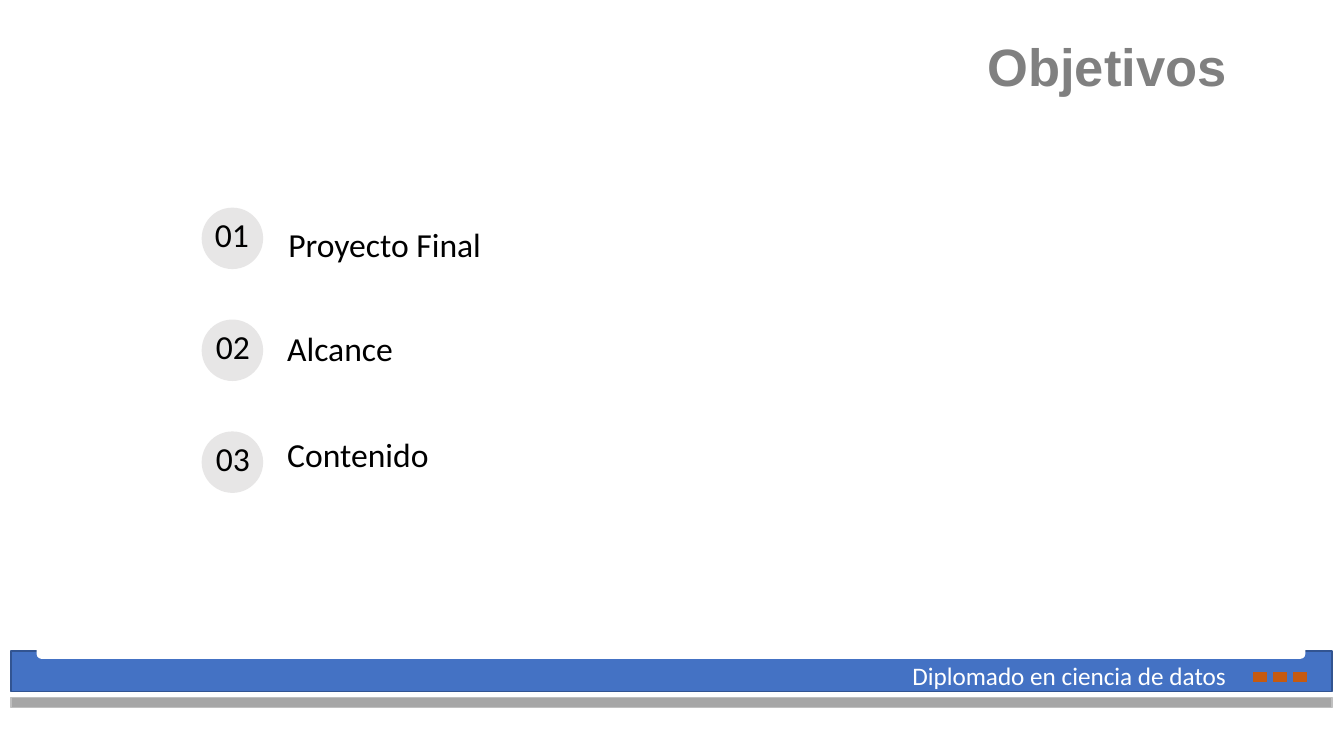
from dataclasses import dataclass, field

from pptx import Presentation
from pptx.dml.color import RGBColor
from pptx.enum.shapes import MSO_SHAPE as SHAPE
from pptx.enum.text import MSO_ANCHOR as ANCHOR, MSO_AUTO_SIZE as AUTOSIZE, PP_ALIGN as ALIGN
from pptx.util import Inches, Pt


@dataclass
class Box:
    left: float
    top: float
    width: float
    height: float

    def emu(self) -> list:
        return [Inches(v) for v in (self.left, self.top, self.width, self.height)]


@dataclass
class Style:
    size: float = 24
    color: str = "000000"
    font: str = "Calibri"
    bold: bool = False
    frame: dict = field(default_factory=dict)
    paragraph: dict = field(default_factory=dict)


@dataclass
class Bar:
    box: Box
    fill: str
    line: str
    kind: SHAPE = SHAPE.RECTANGLE


@dataclass
class Item:
    number: str
    label: str
    number_left: float
    label_box: Box


def rgb(color: str) -> RGBColor:
    return RGBColor.from_string(color)


def apply(target, values: dict) -> None:
    for name, value in values.items():
        setattr(target, name, value)


def place(sp, box: Box) -> None:
    apply(sp, dict(zip(("left", "top", "width", "height"), box.emu())))


def write(sp, text: str, style: Style) -> None:
    tf = sp.text_frame
    apply(tf, {"word_wrap": True, "auto_size": AUTOSIZE.NONE,
               "vertical_anchor": ANCHOR.TOP} | style.frame)
    p = tf.paragraphs[0]
    apply(p, {"alignment": ALIGN.LEFT, "space_before": Pt(0)} | style.paragraph)
    r = p.add_run()
    r.text = text
    apply(r.font, {"size": Pt(style.size), "name": style.font, "bold": style.bold})
    r.font.color.rgb = rgb(style.color)


def draw(shapes, bar: Bar) -> None:
    sp = shapes.add_shape(bar.kind, *bar.box.emu())
    sp.shadow.inherit = False
    sp.fill.solid()
    sp.fill.fore_color.rgb = rgb(bar.fill)
    if bar.line:
        sp.line.color.rgb = rgb(bar.line)
        sp.line.width = Pt(1)
    else:
        sp.line.fill.background()


def insets(top: float) -> dict:
    return {"margin_left": Inches(0.1), "margin_top": Inches(top),
            "margin_right": Inches(0.1), "margin_bottom": Inches(0.1)}


TITLE = Style(37.5, "808080", "Arial", True,
              {"vertical_anchor": ANCHOR.BOTTOM, "margin_left": Inches(0.1),
               "margin_right": Inches(0.24), "margin_top": Inches(0.05),
               "margin_bottom": Inches(0.05)},
              {"alignment": ALIGN.RIGHT, "line_spacing": 0.7})
NUMBER = Style(frame=insets(0.2), paragraph={"alignment": ALIGN.CENTER, "line_spacing": 0.9})
LABEL = Style(frame=insets(0), paragraph={"line_spacing": 0.9, "space_after": Pt(12)})
FOOTER = Style(18, "FFFFFF")

BARS = [
    Bar(Box(0.11, 6.46, 13.1, 0.4), "4472C4", "325491"),
    Bar(Box(0.37, 6.27, 12.57, 0.26), "FFFFFF", "FFFFFF", SHAPE.ROUNDED_RECTANGLE),
    Bar(Box(0.11, 6.92, 13.1, 0.1), "A6A6A6", "BFBFBF"),
] + [Bar(Box(12.43 + 0.2 * i, 6.67, 0.13, 0.09), "C55A11", "C55A11") for i in range(3)]

ITEMS = [
    Item("01", "Proyecto Final", 1.85, Box(2.76, 2.27, 7.99, 0.61)),
    Item("02", "Alcance", 1.86, Box(2.75, 3.3, 7, 0.76)),
    Item("03", "Contenido", 1.86, Box(2.75, 4.35, 5.65, 0.62)),
]
FIRST_TOP, STEP, DISC = 2.06, 1.11, 0.61

prs = Presentation()
prs.slide_width, prs.slide_height = Inches(13.33), Inches(7.5)
s = prs.slides.add_slide(prs.slide_layouts[0])
title, subtitle = s.placeholders

# Footer band
footer = s.shapes.add_group_shape()
for bar in BARS:
    draw(footer.shapes, bar)
write(footer.shapes.add_textbox(*Box(8.95, 6.5, 3.45, 0.4).emu()),
      "Diplomado en ciencia de datos", FOOTER)

# Title
place(title, Box(1.41, 0.4, 11, 0.6))
write(title, "Objetivos", TITLE)

# Numbered objectives; the first label is the subtitle
for i, item in enumerate(ITEMS):
    top = FIRST_TOP + i * STEP
    draw(s.shapes, Bar(Box(2, top, DISC, DISC), "E7E6E6", "", SHAPE.OVAL))
    number = s.shapes.add_textbox(*Box(item.number_left, top - 0.09, 0.9, DISC).emu())
    write(number, item.number, NUMBER)
    label = subtitle if i == 0 else s.shapes.add_textbox(*item.label_box.emu())
    place(label, item.label_box)
    write(label, item.label, LABEL)

prs.save("out.pptx")
